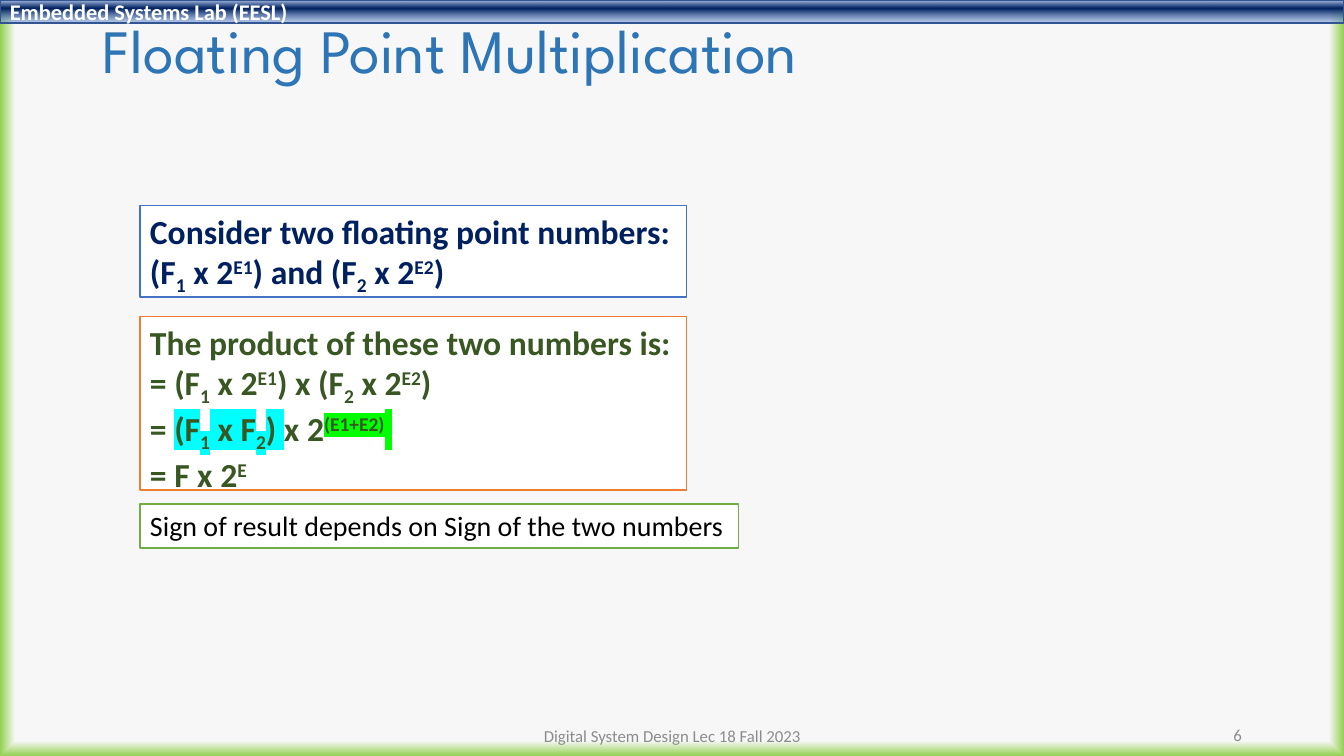
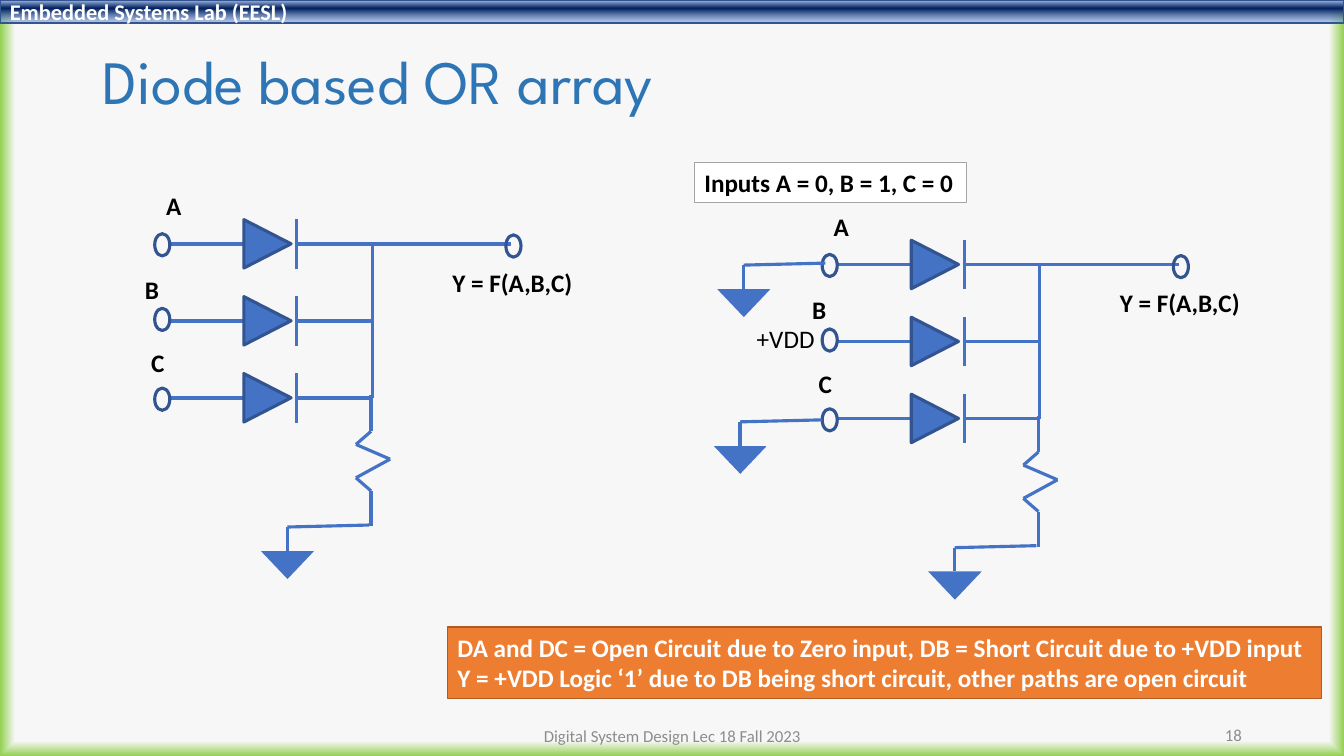
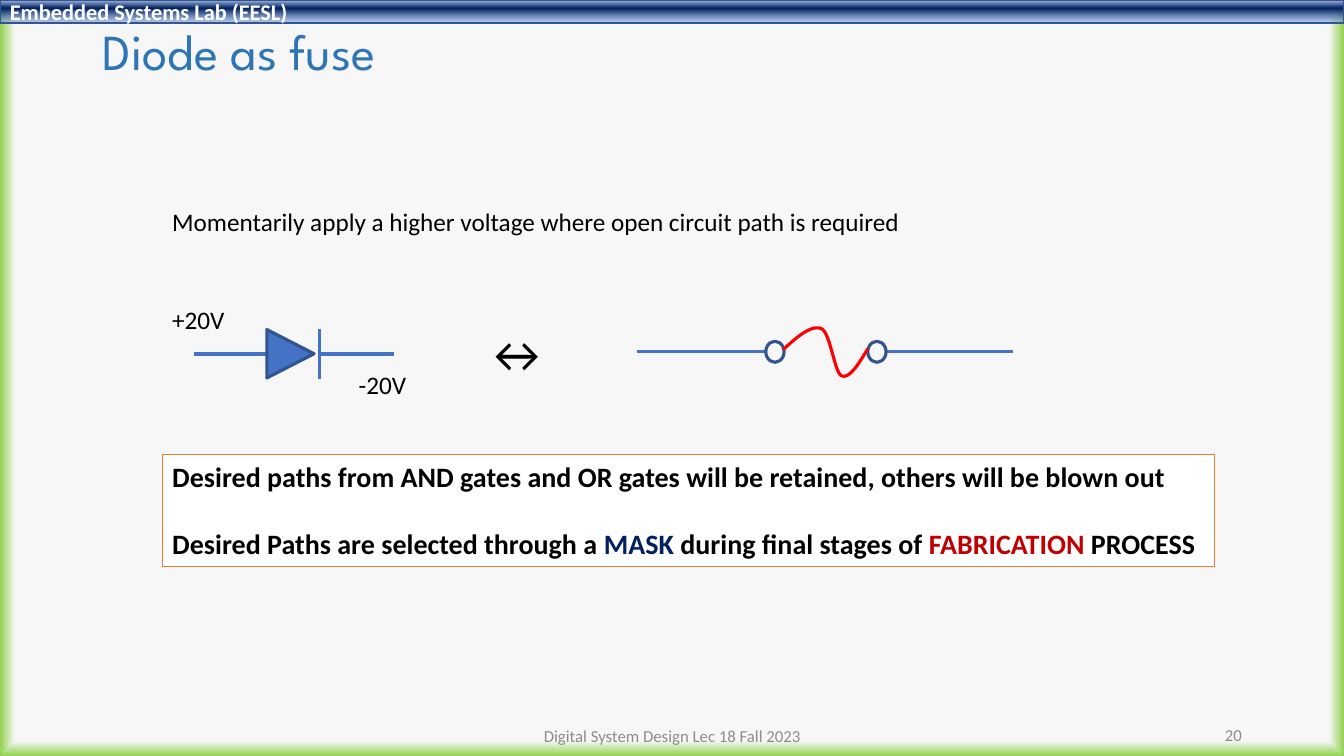
"""Build three lecture slides on multiplication and diode arrays."""
import itertools

import lxml.etree
import pptx
import pptx.dml.color
import pptx.enum.dml
import pptx.enum.shapes
import pptx.enum.text
import pptx.oxml
import pptx.oxml.ns
import pptx.util

Cm = pptx.util.Cm
Pt = pptx.util.Pt
qn = pptx.oxml.ns.qn
FORM = pptx.enum.shapes.MSO_SHAPE
ALIGN = pptx.enum.text.PP_ALIGN
MID = pptx.enum.text.MSO_ANCHOR.MIDDLE
BLUE, NAVY, EDGE = "4472C4", "002060", "325491"
ORANGE, WHITE, BLACK, GREY = "ED7D31", "FFFFFF", "000000", "8C8C8C"
SUB, SUP = {"base": -25000}, {"base": 30000}


def rgb(code):
    """Turn a hex string into a colour."""
    return pptx.dml.color.RGBColor.from_string(code)


def shade(fill, host, stops, tail):
    """Give a fill a gradient of (place, colour, alpha) stops."""
    fill.gradient()
    marks = "".join(
        f'<a:gs pos="{at * 1000}"><a:srgbClr val="{code}">'
        f'<a:alpha val="{alpha * 1000}"/></a:srgbClr></a:gs>'
        for at, code, alpha in stops)
    new = pptx.oxml.parse_xml(
        f'<a:gradFill {pptx.oxml.ns.nsdecls("a")} rotWithShape="1">'
        f'<a:gsLst>{marks}</a:gsLst>{tail}</a:gradFill>')
    host.replace(host.find(qn("a:gradFill")), new)


def style(run, size=18, color=BLACK, bold=False, font="Calibri", base=0, glow=None):
    """Format one run."""
    run.font.size, run.font.bold, run.font.name = Pt(size), bold, font
    run.font.color.rgb = rgb(color)
    props = run._r.get_or_add_rPr()
    if base:
        props.set("baseline", str(base))
    if glow:
        mark = lxml.etree.Element(qn("a:highlight"))
        lxml.etree.SubElement(mark, qn("a:srgbClr")).set("val", glow)
        props.find(qn("a:solidFill")).addnext(mark)


def write(frame, *lines, align=ALIGN.LEFT, gap=0, lead=None, **form):
    """Fill a frame; a line is a string or a list of strings and (string, format)."""
    for i, line in enumerate(lines):
        para = frame.paragraphs[0] if i == 0 else frame.add_paragraph()
        para.alignment = align
        if lead:
            para.line_spacing = lead
        if i and gap:
            para.space_before = Pt(gap)
        for part in [line] if isinstance(line, str) else line:
            text, extra = (part, {}) if isinstance(part, str) else part
            run = para.add_run()
            run.text = text
            style(run, **{**form, **extra})


def term(n):
    """Return the runs of one floating point number."""
    return ["(F", (n, SUB), " x 2", ("E" + n, SUP), ")"]


def bend(start, *curves, steps=16):
    """List the points of joined cubic curves."""
    points = [start]
    for a, b, end in curves:
        first = points[-1]
        for t in (k / steps for k in range(1, steps + 1)):
            s = 1 - t
            points.append(tuple(
                s**3 * p + 3 * s * s * t * q + 3 * s * t * t * r + t**3 * e
                for p, q, r, e in zip(first, a, b, end)))
    return points


class Deck:
    """Hold the shared style and the current slide."""

    def __init__(self):
        """Set the size and the backdrop."""
        self.show = pptx.Presentation()
        self.show.slide_width, self.show.slide_height = Cm(33.87), Cm(19.05)
        self.base = self.show.slide_master
        fill = self.base.background.fill
        fill.gradient()
        shade(fill, self.base.element.find(".//" + qn("p:bgPr")),
              [(96, "F7F7F7", 100), (100, "92D050", 100)],
              '<a:path path="shape"><a:fillToRect l="50000" t="50000" '
              'r="50000" b="50000"/></a:path>')
        self.slide = None

    def page(self, title, number, top=0.38, high=1.96, size=44):
        """Start a slide with its title, footer and number."""
        first = self.slide is None
        self.slide = self.show.slides.add_slide(self.show.slide_layouts[5])
        self.shapes = self.slide.shapes
        if first:
            self.band()
        head = self.shapes.title
        head.left, head.top, head.width, head.height = Cm(2.34), Cm(top), Cm(29.21), Cm(high)
        head.text_frame.vertical_anchor = MID
        write(head.text_frame, title, lead=0.9, size=size, color="2E75B6",
              font="League Spartan")
        self.foot(number, 23.93, 18, 7.62, ALIGN.RIGHT)
        self.foot("Digital System Design Lec 18 Fall 2023", 11.23, 18.03, 11.43, ALIGN.CENTER)

    def band(self):
        """Put the top band on the master."""
        bar = self.shape(FORM.RECTANGLE, 0, 0, 33.87, 0.58, BLUE, EDGE, 1)
        shade(bar.fill, bar.element.spPr,
              [(2, "ABC0E4", 100), (38, NAVY, 100), (93, "7E9ED6", 64)],
              '<a:lin ang="5400000" scaled="0"/>')
        bar.text_frame.vertical_anchor = MID
        write(bar.text_frame, "Embedded Systems Lab (EESL)", size=16, color=WHITE, bold=True)
        bar.element.nvSpPr.cNvPr.set("id", "90")
        self.base.shapes.element.insert(2, bar.element)

    def foot(self, text, x, y, wide, align):
        """Add a footer text."""
        frame = self.shapes.add_textbox(Cm(x), Cm(y), Cm(wide), Cm(1.02)).text_frame
        frame.word_wrap, frame.vertical_anchor = True, MID
        write(frame, text, align=align, size=12, color=GREY)

    def shape(self, kind, x, y, wide, high, fill=None, line=None, weight=2.25):
        """Add a preset shape."""
        item = self.shapes.add_shape(kind, Cm(x), Cm(y), Cm(wide), Cm(high))
        item.shadow.inherit = False
        self.paint(item, fill, line, weight)
        return item

    def paint(self, item, fill, line, weight):
        """Set fill and outline, or none."""
        if fill:
            item.fill.solid()
            item.fill.fore_color.rgb = rgb(fill)
        else:
            item.fill.background()
        if line:
            item.line.color.rgb, item.line.width = rgb(line), Pt(weight)
        else:
            item.line.fill.background()

    def box(self, x, y, wide, high, *lines, fill=None, line=None, wrap=False, **form):
        """Add a text box that fits its text."""
        item = self.shapes.add_textbox(Cm(x), Cm(y), Cm(wide), Cm(high))
        self.paint(item, fill, line, 1)
        item.text_frame.word_wrap = wrap
        item.text_frame.auto_size = pptx.enum.text.MSO_AUTO_SIZE.SHAPE_TO_FIT_TEXT
        write(item.text_frame, *lines, **form)

    def wire(self, *points):
        """Join points by straight lines."""
        for (a, b), (c, d) in itertools.pairwise(points):
            item = self.shapes.add_connector(
                pptx.enum.shapes.MSO_CONNECTOR.STRAIGHT, Cm(a), Cm(b), Cm(c), Cm(d))
            item.line.color.rgb, item.line.width = rgb(BLUE), Pt(2.25)
            lxml.etree.SubElement(item.element.spPr, qn("a:effectLst"))

    def ring(self, x, y, wide=0.38, high=0.56):
        """Add an open terminal."""
        self.shape(FORM.OVAL, x, y, wide, high, line=EDGE)

    def curve(self, points, color):
        """Add an open outline through points."""
        spots = [(Cm(x), Cm(y)) for x, y in points]
        form = self.shapes.build_freeform(*spots[0])
        form.add_line_segments(spots[1:], close=False)
        item = form.convert_to_shape()
        item.shadow.inherit = False
        self.paint(item, None, color, 2.25)

    def diode(self, x, y):
        """Add a diode with both leads."""
        self.wire((x, y), (x + 1.86, y))
        self.shape(FORM.ISOSCELES_TRIANGLE, x + 1.83, y - 0.6, 1.22, 1.19,
                   BLUE, EDGE).rotation = 90
        self.wire((x + 3.18, y - 0.62), (x + 3.18, y + 0.62))
        self.wire((x + 3.18, y), (x + 5.05, y))

    def ground(self, x, y):
        """Add a ground to the left of a point."""
        end = x - 2.06
        self.wire((x, y), (end, y + 0.05), (end, y + 0.65))
        item = self.shape(FORM.ISOSCELES_TRIANGLE, end - 0.67, y + 0.65, 1.35, 0.71)
        item.rotation = 180
        item.fill.patterned()
        item.fill.pattern = pptx.enum.dml.MSO_PATTERN.DARK_HORIZONTAL
        item.fill.fore_color.rgb, item.fill.back_color.rgb = rgb(BLUE), rgb(WHITE)

    def array(self, dx=0, dy=0):
        """Add a three input diode array."""
        inputs = [("A", 3.94, 4.67, 5.89), ("B", 3.4, 6.78, 7.77), ("C", 3.56, 8.64, 9.78)]
        for i, (name, x, y, dot) in enumerate(inputs):
            self.diode(4.3 + dx, 6.15 + 1.94 * i + dy)
            self.ring(3.9 + dx, dot + dy)
            self.box(x + dx, y + dy, 0.89, 1.02, name, bold=True)
        self.wire((9.3 + dx, 6.15 + dy), (12.88 + dx, 6.15 + dy))
        self.ring(12.75 + dx, 5.92 + dy)
        self.box(11.15 + dx, 6.6 + dy, 3.58, 1.02, "Y = F(A,B,C)", bold=True)
        self.wire((9.38 + dx, 6.15 + dy), (9.38 + dx, 10.03 + dy))
        zigzag = [(9.35, 9.96), (9.35, 10.87), (8.97, 11.2), (9.83, 11.57),
                  (8.97, 12.04), (9.35, 12.37), (9.35, 13.26)]
        self.wire(*((x + dx, y + dy) for x, y in zigzag))
        self.ground(9.3 + dx, 13.23 + dy)


def main():
    """Draw the slides and save them."""
    deck = Deck()

    deck.page("Floating Point Multiplication", "6")
    deck.box(3.53, 5.18, 13.77, 2.31, "Consider two floating point numbers:",
             term("1") + [" and "] + term("2"),
             fill=WHITE, line=BLUE, size=24, color=NAVY, bold=True)
    cyan, lime = {"glow": "00FFFF"}, {"glow": "00FF00"}
    deck.box(3.53, 7.98, 13.77, 4.37, "The product of these two numbers is:",
             ["= "] + term("1") + [" x "] + term("2"),
             ["= ", ("(F", cyan), ("1", SUB | cyan), (" x F", cyan), ("2", SUB | cyan),
              (") ", cyan), "x 2", ("(E1+E2)", SUP | lime), (" ", lime)],
             ["= F x 2", ("E", SUP)],
             fill=WHITE, line=ORANGE, size=24, color="385723", bold=True)
    deck.box(3.53, 12.7, 15.09, 1.11, "Sign of result depends on Sign of the two numbers",
             fill=WHITE, line="70AD47", size=20)

    deck.page("Diode based OR array", "18", top=1.02, high=2.21)
    deck.array()
    deck.box(17.5, 4.09, 6.86, 1.02, "Inputs A = 0, B = 1, C = 0",
             fill=WHITE, line="A5A5A5", bold=True)
    deck.array(16.82, 0.52)
    deck.ground(20.8, 6.63)
    deck.ground(20.71, 10.58)
    deck.box(18.82, 8.03, 2.06, 1.02, "+VDD", wrap=True)
    deck.box(11.28, 15.8, 22.02, 1.8,
             "DA and DC = Open Circuit due to Zero input, DB = Short Circuit due to +VDD input",
             "Y = +VDD Logic ‘1’ due to DB being short circuit, other paths are open circuit",
             fill=ORANGE, line="AF5C24", color=WHITE, bold=True)

    deck.page("Diode as fuse", "20", size=36)
    deck.diode(4.88, 8.92)
    deck.wire((16.05, 8.86), (19.3, 8.86))
    deck.wire((22.33, 8.86), (25.53, 8.86))
    for x in (19.3, 21.87):
        deck.ring(x, 8.6, 0.46, 0.53)
    deck.curve(bend((19.74, 8.81),
                    ((20.09, 8.48), (20.45, 8.18), (20.7, 8.28)),
                    ((20.93, 8.38), (21.03, 9.4), (21.21, 9.47)),
                    ((21.41, 9.55), (21.64, 9.17), (21.87, 8.79))), "FF0000")
    deck.box(4.09, 5.08, 19.05, 1.02,
             "Momentarily apply a higher voltage where open circuit path is required")
    deck.box(11.96, 7.98, 2.16, 1.8, "↔", size=36)
    deck.box(4.09, 11.46, 26.52, 2.82,
             "Desired paths from AND gates and OR gates will be retained, others will be blown out",
             ["Desired Paths are selected through a ", ("MASK", {"color": NAVY}),
              " during final stages of ", ("FABRICATION", {"color": "C00000"}), " PROCESS"],
             fill=WHITE, line=ORANGE, size=20, bold=True, gap=24)
    deck.box(4.09, 7.54, 1.85, 1.02, "+20V")
    deck.box(8.79, 9.19, 1.73, 1.02, "-20V")

    deck.show.save("out.pptx")


if __name__ == "__main__":
    main()
